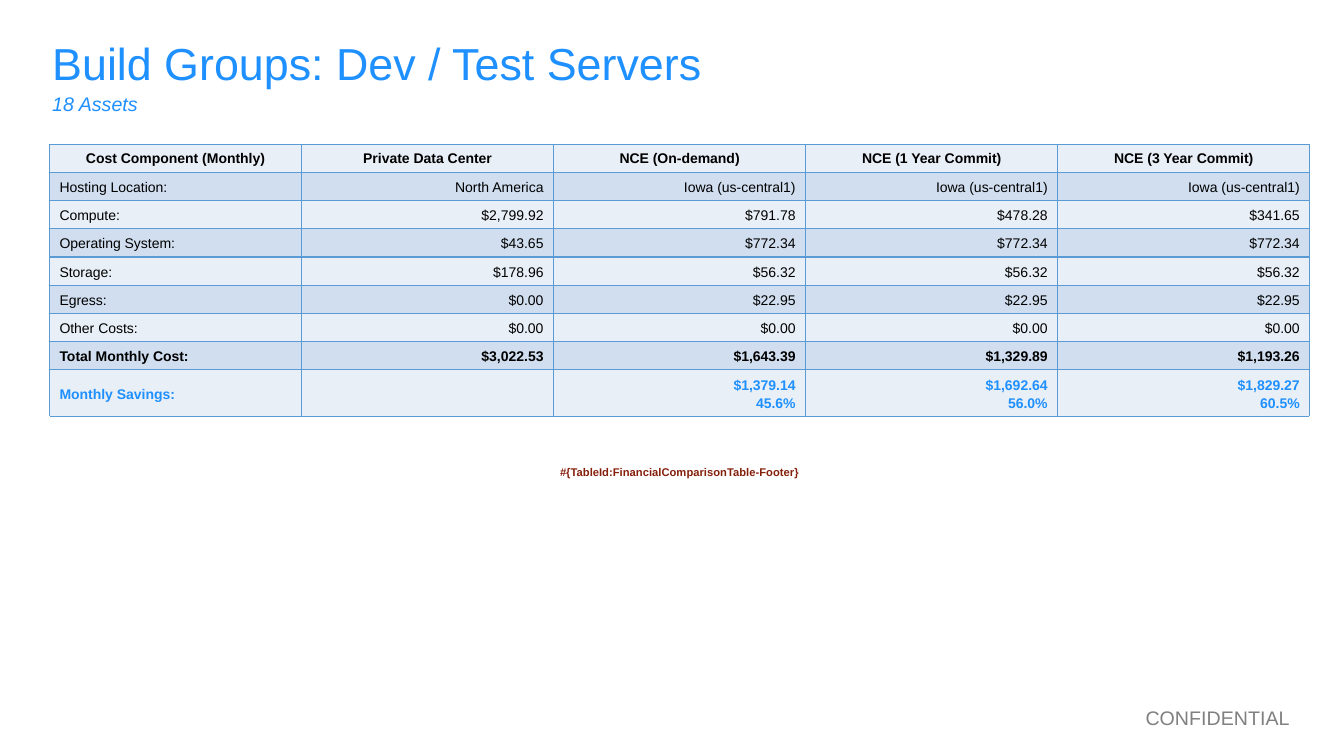
from lxml import etree
from pptx import Presentation
from pptx.dml.color import RGBColor
from pptx.enum import text
from pptx.oxml import ns
from pptx.util import Inches, Pt

BLUE, BLACK, BORDER = "1E90FF", "000000", "5B9BD5"
LEFT, CENTER, RIGHT = text.PP_ALIGN.LEFT, text.PP_ALIGN.CENTER, text.PP_ALIGN.RIGHT


def write(frame, content, size, color, align=LEFT, bold=False, italic=False, spacing=None):
    frame.text = content
    for paragraph in frame.paragraphs:
        paragraph.alignment = align
        paragraph.line_spacing = spacing
        for run in paragraph.runs:
            run.font.name = "Arial"
            run.font.size = Pt(size)
            run.font.bold = bold
            run.font.italic = italic
            run.font.color.rgb = RGBColor.from_string(color)


def fill_cell(cell, color, border_sides):
    cell.fill.solid()
    cell.fill.fore_color.rgb = RGBColor.from_string(color)
    cell.vertical_anchor = text.MSO_ANCHOR.MIDDLE
    properties = cell._tc.get_or_add_tcPr()
    for position, side in enumerate(border_sides):
        line = etree.Element(ns.qn(f"a:ln{side}"), w=str(Pt(1)))
        solid = etree.SubElement(line, ns.qn("a:solidFill"))
        etree.SubElement(solid, ns.qn("a:srgbClr"), val=BORDER)
        properties.insert(position, line)


presentation = Presentation()
presentation.slide_width = Inches(13.33)
presentation.slide_height = Inches(7.5)
slide = presentation.slides.add_slide(presentation.slide_layouts[6])

# Cost comparison table
costs = [
    ["Cost Component (Monthly)", "Private Data Center", "NCE (On-demand)",
     "NCE (1 Year Commit)", "NCE (3 Year Commit)"],
    ["Hosting Location:", "North America"] + ["Iowa (us-central1)"] * 3,
    ["Compute:", "$2,799.92", "$791.78", "$478.28", "$341.65"],
    ["Operating System:", "$43.65"] + ["$772.34"] * 3,
    ["Storage:", "$178.96"] + ["$56.32"] * 3,
    ["Egress:", "$0.00"] + ["$22.95"] * 3,
    ["Other Costs:"] + ["$0.00"] * 4,
    ["Total Monthly Cost:", "$3,022.53", "$1,643.39", "$1,329.89", "$1,193.26"],
    ["Monthly Savings:", "", "$1,379.14\n45.6%", "$1,692.64\n56.0%", "$1,829.27\n60.5%"],
]
total_row, savings_row, spacer_row, footer_row = 7, 8, 9, 10
heights = [0.28] * 8 + [0.46, 0.39, 0.28]
table = slide.shapes.add_table(
    len(heights), 5, Inches(0.49), Inches(1.43), Inches(12.5), Inches(sum(heights))).table
table.first_row = table.horz_banding = False
for row, height in zip(table.rows, heights):
    row.height = Inches(height)

for row_index, values in enumerate(costs):
    header = row_index == 0
    for column_index, value in enumerate(values):
        cell = table.cell(row_index, column_index)
        fill_cell(cell, "D0DEEF" if row_index % 2 else "E9EFF7", "LRTB")
        write(cell.text_frame, value, 10,
              BLUE if row_index == savings_row else BLACK,
              align=CENTER if header else RIGHT if column_index else LEFT,
              bold=header or row_index >= total_row,
              spacing=None if header else 1.15)

# Spacer and footer rows across the full width
for row_index in (spacer_row, footer_row):
    table.cell(row_index, 0).merge(table.cell(row_index, 4))
    for column_index in range(5):
        fill_cell(table.cell(row_index, column_index), "FFFFFF",
                  "T" if row_index == spacer_row else "")
write(table.cell(footer_row, 0).text_frame, "#{TableId:FinancialComparisonTable-Footer}",
      8, "85200C", align=CENTER, bold=True, spacing=1.15)

# Confidentiality mark, title and subtitle
labels = [
    ("CONFIDENTIAL", 10.67, 6.95, 2.22, 0.34, 0.05, 14, "808080", RIGHT, False, None),
    ("Build Groups: Dev / Test Servers", 0.42, 0.17, 12.5, 0.88, 0.1, 32, BLUE, LEFT, False, 1.15),
    ("18 Assets", 0.42, 0.78, 12.5, 0.88, 0.1, 14, BLUE, LEFT, True, 1.15),
]
for content, left, top, width, height, inset, size, color, align, italic, spacing in labels:
    box = slide.shapes.add_textbox(Inches(left), Inches(top), Inches(width), Inches(height))
    frame = box.text_frame
    frame.word_wrap = True
    frame.margin_top = frame.margin_bottom = Inches(inset)
    write(frame, content, size, color, align=align, italic=italic, spacing=spacing)

presentation.save("out.pptx")
